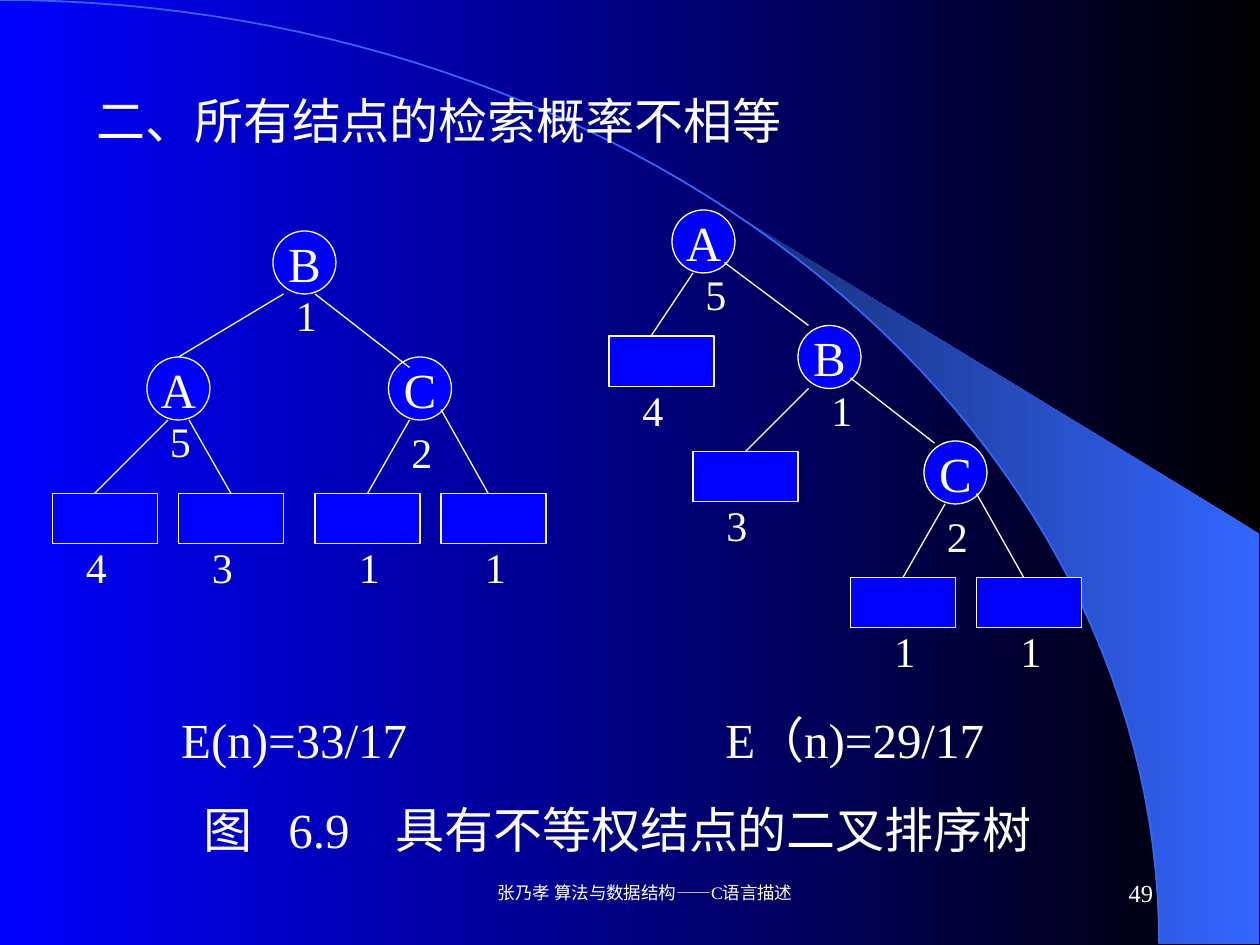
from math import asin, cos, pi, sin
from lxml.etree import SubElement
from pptx import Presentation
from pptx.dml.color import RGBColor
from pptx.enum.shapes import MSO_CONNECTOR, MSO_SHAPE
from pptx.enum.text import MSO_ANCHOR, PP_ALIGN
from pptx.oxml.ns import qn
from pptx.util import Cm, Pt

FONT = "Times New Roman"
WHITE, BLUE, BLACK, SKY, NAVY = "FFFFFF", "0000FF", "000000", "3366FF", "172F75"

# Trees, in grid units: (name, weight, left, top, label offset)
NODES = [
    ("B", "1", 26, 22, (1, 5)), ("A", "5", 14, 34, (1, 5)),
    ("C", "2", 37, 34, (1, 6)),
    ("A", "5", 64, 20, (2, 5)), ("B", "1", 76, 31, (2, 5)),
    ("C", "2", 88, 42, (1, 6)),
]
# (weight, left, top, label offset)
LEAVES = [
    ("4", 5, 47, (2, 4)), ("3", 17, 47, (2, 4)),
    ("1", 30, 47, (3, 4)), ("1", 42, 47, (3, 4)),
    ("4", 58, 32, (2, 4)), ("3", 66, 43, (2, 4)),
    ("1", 81, 55, (3, 4)), ("1", 93, 55, (3, 4)),
]
# (x1, y1, x2, y2)
EDGES = [
    (27, 28, 17, 34), (30, 28, 39, 35), (16, 40, 9, 47),
    (18, 40, 22, 47), (39, 40, 35, 47), (42, 39, 46.5, 47),
    (66, 26, 62, 32), (69, 25, 77, 31), (81, 36, 89, 42.2),
    (77, 37, 71, 43), (90, 48, 86, 55), (93, 47, 97.5, 55),
]
TITLE = "二、所有结点的检索概率不相等"
# (text, tab stops in cm)
CAPTION = [
    ("\tE(n)=33/17\tE（n)=29/17", (1.71, 12.68)),
    ("\t图\t6.9\t具有不等权结点的二叉排序树", (2.16, 3.87, 6.03)),
]
FOOTER, PAGE = "张乃孝 算法与数据结构——C语言描述", "49"

ARC_W, ARC_H = 110.4, 89.9
SWOOSH_START = asin(0.64)
SWOOSH_EDGE = [(119.9, 89.9), (119.9, 50.8)]


def grid(n):
    """Twelve grid units make 2.54 cm."""
    return Cm(n * 2.54 / 12)


def color(value):
    return RGBColor.from_string(value)


def gradient(fill, first, last):
    fill.gradient()
    fill.gradient_angle = 180
    for stop, value, place in zip(fill.gradient_stops, (first, last), (0, 1)):
        stop.color.rgb = color(value)
        stop.position = place


def add_run(p, text, size):
    r = p.add_run()
    r.text = text
    r.font.name, r.font.size = FONT, Pt(size)
    r.font.color.rgb = color(WHITE)


def add_text(box, text, size, align=PP_ALIGN.LEFT):
    tf = s.shapes.add_textbox(*[grid(n) for n in box]).text_frame
    tf.word_wrap = True
    p = tf.paragraphs[0]
    p.alignment = align
    add_run(p, text, size)
    return tf


def add_node(kind, left, top, width, height):
    sp = s.shapes.add_shape(kind, *[grid(n) for n in (left, top, width, height)])
    sp.shadow.inherit = False
    sp.fill.solid()
    sp.fill.fore_color.rgb = color(BLUE)
    sp.line.color.rgb = color(WHITE)
    sp.line.width = Pt(0.75)
    return sp


def arc_points(start, steps=60):
    angles = [start + (pi / 2 - start) * i / steps for i in range(steps + 1)]
    return [(ARC_W * sin(a), ARC_H * (1 - cos(a))) for a in angles]


def add_outline(points, close):
    pts = [(grid(x), grid(y)) for x, y in points]
    builder = s.shapes.build_freeform(*pts[0])
    builder.add_line_segments(pts[1:], close=close)
    sp = builder.convert_to_shape()
    sp.shadow.inherit = False
    return sp


prs = Presentation()
prs.slide_width, prs.slide_height = Cm(25.4), Cm(19.05)
s = prs.slides.add_slide(prs.slide_layouts[6])

# Background with swoosh and arc
gradient(s.background.fill, BLACK, BLUE)
swoosh = add_outline(arc_points(SWOOSH_START) + SWOOSH_EDGE, True)
gradient(swoosh.fill, SKY, NAVY)
swoosh.line.fill.background()
arc = add_outline(arc_points(0), False)
arc.fill.background()
arc.line.color.rgb = color(SKY)
arc.line.width = Pt(1)

# Title
add_text((8, 8, 101, 6.8), TITLE, 28)

# Nodes and leaves
labels = []
for name, weight, x, y, (dx, dy) in NODES:
    tf = add_node(MSO_SHAPE.OVAL, x, y, 6, 6).text_frame
    tf.word_wrap = False
    tf.vertical_anchor = MSO_ANCHOR.MIDDLE
    tf.paragraphs[0].alignment = PP_ALIGN.CENTER
    add_run(tf.paragraphs[0], name, 28)
    labels.append((weight, x + dx, y + dy))
for weight, x, y, (dx, dy) in LEAVES:
    add_node(MSO_SHAPE.RECTANGLE, x, y, 10, 4.8)
    labels.append((weight, x + dx, y + dy))

# Edges
for edge in EDGES:
    line = s.shapes.add_connector(MSO_CONNECTOR.STRAIGHT, *[grid(n) for n in edge])
    line.line.color.rgb = color(WHITE)
    line.line.width = Pt(0.75)
    SubElement(line._element.spPr, qn("a:effectLst"))

# Weights
for weight, x, y in labels:
    add_text((x, y, 5, 6), weight, 24)

# Formulas and caption, set on tab stops
tf = s.shapes.add_textbox(*[grid(n) for n in (8, 67, 100, 21)]).text_frame
tf.word_wrap = True
for i, (text, stops) in enumerate(CAPTION):
    p = tf.add_paragraph() if i else tf.paragraphs[0]
    if i:
        p.space_before = Pt(17.5)
    tabs = SubElement(p._p.get_or_add_pPr(), qn("a:tabLst"))
    for stop in stops:
        SubElement(tabs, qn("a:tab"), pos=str(Cm(stop)), algn="l")
    add_run(p, text, 28)

# Footer and page number
for box, text, size, align in [
    ((41, 82, 38, 6), FOOTER, 10, PP_ALIGN.CENTER),
    ((86, 82, 25, 6), PAGE, 14, PP_ALIGN.RIGHT),
]:
    tf = add_text(box, text, size, align)
    tf.margin_left = Cm(0.86)
    tf.vertical_anchor = MSO_ANCHOR.MIDDLE

prs.save("out.pptx")
